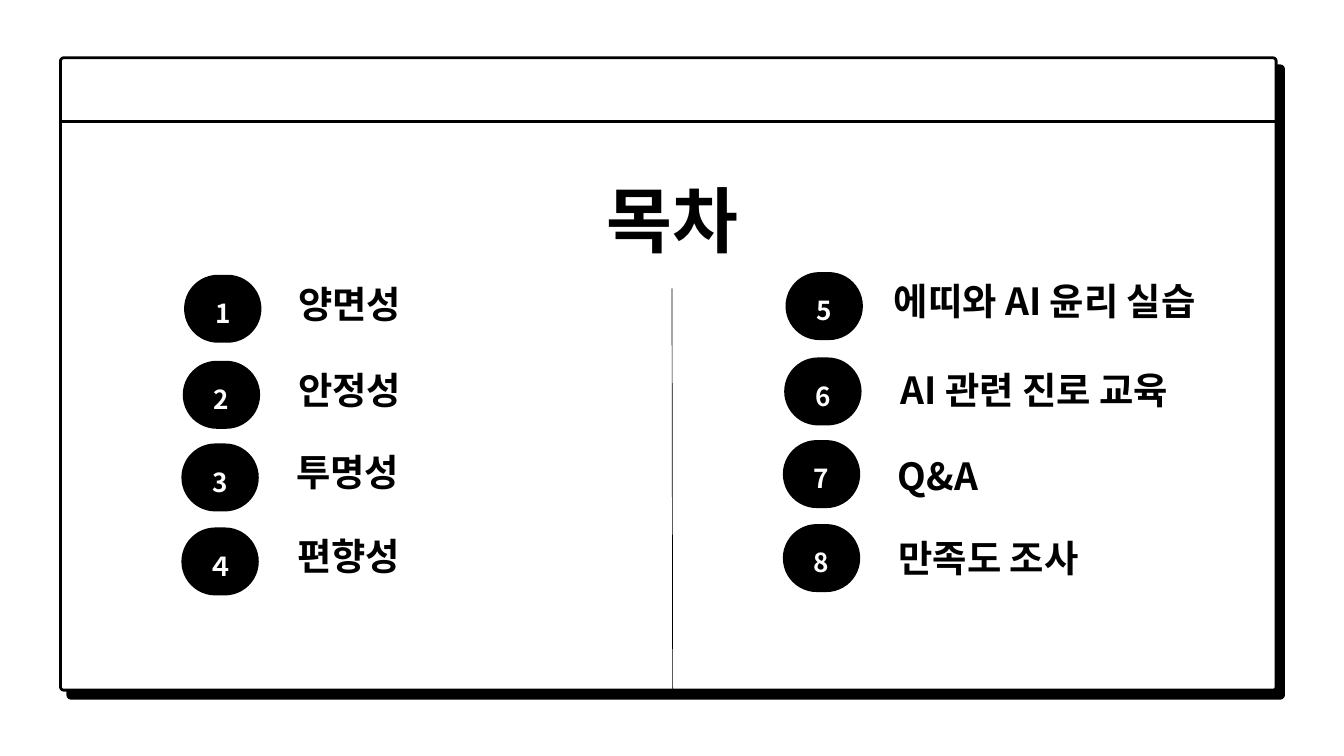
from lxml.etree import SubElement
from pptx import Presentation
from pptx.dml.color import RGBColor
from pptx.enum.shapes import MSO_CONNECTOR, MSO_SHAPE
from pptx.enum.text import MSO_ANCHOR, PP_ALIGN
from pptx.oxml.ns import qn
from pptx.util import Inches, Pt

BLACK = RGBColor(0, 0, 0)
WHITE = RGBColor(255, 255, 255)
FONT = "Noto Sans CJK KR"


def write(shape, text, size, color, align, spacing, anchor):
    frame = shape.text_frame
    frame.margin_left = frame.margin_right = 0
    frame.margin_top = frame.margin_bottom = 0
    frame.word_wrap = True
    frame.vertical_anchor = anchor
    frame.text = text
    paragraph = frame.paragraphs[0]
    paragraph.alignment = align
    paragraph.line_spacing = Pt(spacing)
    paragraph.space_before = Pt(0)
    font = paragraph.font
    font.size = Pt(size)
    font.bold = True
    font.color.rgb = color
    font.name = FONT
    defaults = paragraph._p.pPr.find(qn("a:defRPr"))
    SubElement(defaults, qn("a:ea")).set("typeface", FONT)


def rounded(left, top, width, height, corner, fill):
    shape = slide.shapes.add_shape(
        MSO_SHAPE.ROUNDED_RECTANGLE,
        Inches(left), Inches(top), Inches(width), Inches(height))
    shape.adjustments[0] = corner
    shape.shadow.inherit = False
    shape.fill.solid()
    shape.fill.fore_color.rgb = fill
    shape.line.color.rgb = BLACK
    shape.line.width = Pt(3)
    return shape


prs = Presentation()
prs.slide_width = Inches(20)
prs.slide_height = Inches(11.25)
slide = prs.slides.add_slide(prs.slide_layouts[5])

for left, top, fill in [(1.01, 0.98, BLACK), (0.9, 0.86, WHITE)]:
    rounded(left, top, 18.09, 9.41, 0.005, fill)

for x1, y1, x2, y2, weight in [(0.9, 1.81, 18.99, 1.81, 3),
                               (10, 4.29, 10.01, 10.27, 0.75)]:
    rule = slide.shapes.add_connector(
        MSO_CONNECTOR.STRAIGHT, Inches(x1), Inches(y1), Inches(x2), Inches(y2))
    rule.line.color.rgb = BLACK
    rule.line.width = Pt(weight)
    SubElement(rule._element.spPr, qn("a:effectLst"))

title = slide.shapes.title
title.left, title.top = Inches(6.09), Inches(2.41)
title.width, title.height = Inches(7.82), Inches(1.44)
write(title, "목차", 76.7, BLACK, PP_ALIGN.CENTER, 107.4, MSO_ANCHOR.TOP)
slide.shapes._spTree.append(title._element)

contents = [
    ("1", 2.76, 4.11, "양면성", 4.44, 4.26, 3.55),
    ("2", 2.74, 5.39, "안정성", 4.44, 5.53, 3.55),
    ("3", 2.72, 6.62, "투명성", 4.41, 6.75, 3.55),
    ("４", 2.72, 7.87, "편향성", 4.42, 8.01, 3.55),
    ("5", 11.71, 4.07, "에띠와 AI 윤리 실습", 13.3, 4.21, 4.79),
    ("6", 11.69, 5.34, "AI 관련 진로 교육", 13.4, 5.54, 4.51),
    ("7", 11.67, 6.57, "Q&A", 13.36, 6.81, 3.55),
    ("8", 11.67, 7.82, "만족도 조사", 13.37, 8.04, 3.55),
]
for number, badge_left, badge_top, topic, left, top, width in contents:
    badge = rounded(badge_left, badge_top, 1.11, 0.97, 0.5, BLACK)
    write(badge, number, 28, WHITE, PP_ALIGN.CENTER, 42.8, MSO_ANCHOR.MIDDLE)
    label = slide.shapes.add_textbox(
        Inches(left), Inches(top), Inches(width), Inches(0.59))
    write(label, topic, 40, BLACK, PP_ALIGN.LEFT, 42.8, MSO_ANCHOR.TOP)

prs.save("out.pptx")
